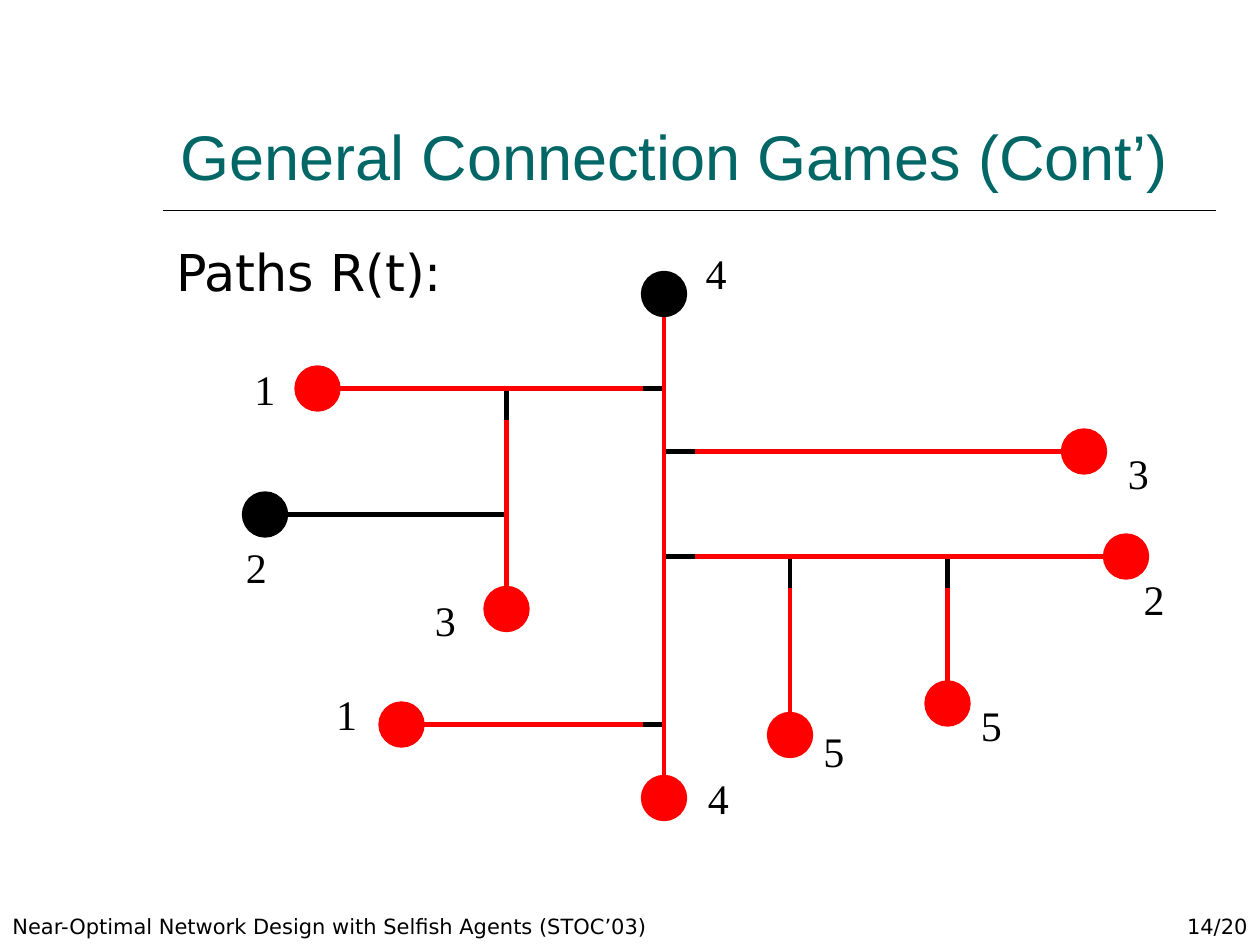
from lxml.etree import SubElement
from pptx import Presentation
from pptx.dml.color import RGBColor
from pptx.enum.shapes import MSO_CONNECTOR, MSO_SHAPE
from pptx.enum.text import MSO_ANCHOR, PP_ALIGN
from pptx.oxml.ns import qn
from pptx.util import Inches, Pt

BLACK, RED, TEAL = "000000", "FF0000", "006666"
CELL, GRID_LEFT, LINE_WIDTH, NODE_SIZE = 1 / 12, 0.02, 2.5, 4
LABEL_WIDTH, LABEL_HEIGHT = 0.36, 0.5

TITLE = "General Connection Games (Cont’)"
BODY = "Paths R(t):"
FOOTER = "Near-Optimal Network Design with Selfish Agents (STOC’03)"
PAGE = "14/20"

# player, node (column, row), label corner (column, row), colour
TERMINALS = [
    ("4", (63, 76), (66, 73), RED),
    ("3", (48, 58), (40, 56), RED),
    ("3", (103, 43), (106, 42), RED),
    ("2", (107, 53), (107.5, 54), RED),
    ("5", (90, 67), (92, 66), RED),
    ("5", (75, 70), (77, 68.5), RED),
    ("1", (38, 69), (30.6, 65), RED),
    ("2", (25, 49), (22, 51), BLACK),
    ("1", (30, 37), (22.8, 34), RED),
    ("4", (63, 28), (65.8, 23), BLACK),
]
# terminal, junction, end of the red path (None when the edge is unused)
EDGES = [
    ((63, 76), (63, 28), (63, 28)),
    ((103, 43), (63, 43), (66, 43)),
    ((107, 53), (63, 53), (66, 53)),
    ((30, 37), (63, 37), (61, 37)),
    ((38, 69), (63, 69), (61, 69)),
    ((75, 70), (75, 53), (75, 56)),
    ((90, 67), (90, 53), (90, 56)),
    ((48, 58), (48, 37), (48, 40)),
    ((25, 49), (48, 49), None),
]


def color(value):
    return RGBColor.from_string(value)


def place(column, row):
    return Inches(GRID_LEFT + column * CELL), Inches(row * CELL)


def write(frame, text, size, font, value=BLACK, align=PP_ALIGN.LEFT,
          anchor=MSO_ANCHOR.TOP, wrap=True):
    frame.word_wrap = wrap
    frame.vertical_anchor = anchor
    paragraph = frame.paragraphs[0]
    paragraph.alignment = align
    run = paragraph.add_run()
    run.text = text
    run.font.size = Pt(size)
    run.font.name = font
    run.font.color.rgb = color(value)


def add_text(slide, box, text, size, font, **layout):
    frame = slide.shapes.add_textbox(*box).text_frame
    write(frame, text, size, font, **layout)


def add_line(slide, start, end, value, width):
    line = slide.shapes.add_connector(MSO_CONNECTOR.STRAIGHT, *start, *end)
    line.line.color.rgb = color(value)
    line.line.width = Pt(width)
    SubElement(line._element.spPr, qn("a:effectLst"))


def add_node(slide, column, row, value):
    corner = place(column - NODE_SIZE / 2, row - NODE_SIZE / 2)
    side = Inches(NODE_SIZE * CELL)
    node = slide.shapes.add_shape(MSO_SHAPE.OVAL, *corner, side, side)
    node.shadow.inherit = False
    node.fill.solid()
    node.fill.fore_color.rgb = color(value)
    node.line.color.rgb = color(value)
    node.line.width = Pt(LINE_WIDTH)


def main():
    """Build the slide showing the connection paths of each player."""
    deck = Presentation()
    deck.slide_width, deck.slide_height = Inches(10), Inches(7.5)
    slide = deck.slides.add_slide(deck.slide_layouts[5])

    title = slide.shapes.title
    title.left, title.top = Inches(1.33), Inches(0.33)
    title.width, title.height = Inches(8.47), Inches(1.25)
    write(title.text_frame, TITLE, 36, "Arial", TEAL, anchor=MSO_ANCHOR.BOTTOM)
    rule_y = Inches(1.67)
    add_line(slide, (Inches(1.29), rule_y), (Inches(9.65), rule_y), BLACK, 1)

    body_box = [Inches(n) for n in (1.3, 1.86, 3, 0.6)]
    add_text(slide, body_box, BODY, 29, "DejaVu Sans")
    for text, left, width, align in (
        (FOOTER, 0, 5.71, PP_ALIGN.LEFT),
        (PAGE, 7.67, 2.33, PP_ALIGN.RIGHT),
    ):
        box = [Inches(n) for n in (left, 7, width, 0.5)]
        add_text(slide, box, text, 12, "DejaVu Sans", align=align,
                 anchor=MSO_ANCHOR.BOTTOM)

    for terminal, junction, _ in EDGES:
        add_line(slide, place(*terminal), place(*junction), BLACK, LINE_WIDTH)
    for terminal, _, path_end in EDGES:
        if path_end:
            add_line(slide, place(*terminal), place(*path_end), RED, LINE_WIDTH)
    for player, node, label, value in TERMINALS:
        add_node(slide, *node, value)
        box = (*place(*label), Inches(LABEL_WIDTH), Inches(LABEL_HEIGHT))
        add_text(slide, box, player, 24, "Times New Roman", wrap=False)

    deck.save("out.pptx")


if __name__ == "__main__":
    main()
